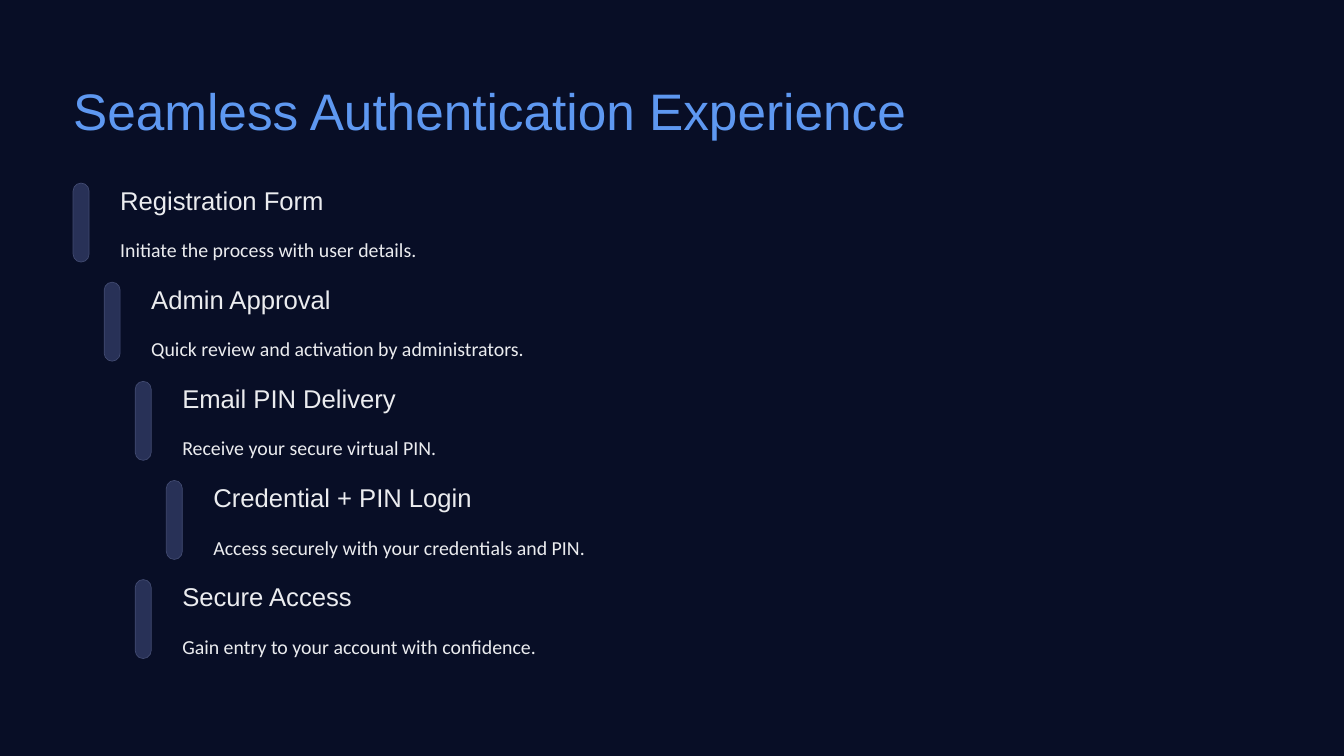
from typing import NamedTuple

from pptx import Presentation
from pptx.dml.color import RGBColor
from pptx.enum.shapes import MSO_SHAPE
from pptx.util import Pt

PX = 9144  # EMU per px, 100 px to the inch
PILL = MSO_SHAPE.ROUNDED_RECTANGLE

COLORS = {
    "back": "080E26",
    "title": "5E98F1",
    "text": "EBECEF",
    "bar": "283157",
    "edge": "414A70",
}

# Layout in px
LEFT, TOP, RIGHT = 87, 218, 1514
INDENT, PITCH = 37, 118
BAR_W, BAR_H = 19, 94
TEXT_DX, NOTE_DY = 56, 54


class Style(NamedTuple):
    font: str
    size: int
    lead: float
    color: str


class Step(NamedTuple):
    head: str
    note: str
    level: int


TITLE = Style("Arial", 44, 55.5, "title")
HEAD = Style("Arial", 22, 27.5, "text")
NOTE = Style("Calibri", 17, 28.5, "text")

STEPS = [
    Step("Registration Form", "Initiate the process with user details.", 0),
    Step("Admin Approval", "Quick review and activation by administrators.", 1),
    Step("Email PIN Delivery", "Receive your secure virtual PIN.", 2),
    Step("Credential + PIN Login", "Access securely with your credentials and PIN.", 3),
    Step("Secure Access", "Gain entry to your account with confidence.", 2),
]


def color(name: str) -> RGBColor:
    return RGBColor.from_string(COLORS[name])


def add_text(slide, text: str, x: int, y: int, w: int, h: int, style: Style) -> None:
    box = slide.shapes.add_textbox(x * PX, y * PX, w * PX, h * PX)
    frame = box.text_frame
    frame.margin_left = frame.margin_right = 0
    frame.margin_top = frame.margin_bottom = 0
    frame.word_wrap = True
    frame.text = text
    para = frame.paragraphs[0]
    para.line_spacing = Pt(style.lead)
    font = para.runs[0].font
    font.name = style.font
    font.size = Pt(style.size)
    font.color.rgb = color(style.color)


def add_bar(slide, x: int, y: int) -> None:
    bar = slide.shapes.add_shape(PILL, x * PX, y * PX, BAR_W * PX, BAR_H * PX)
    bar.adjustments[0] = 0.5
    bar.shadow.inherit = False
    bar.fill.solid()
    bar.fill.fore_color.rgb = color("bar")
    bar.line.color.rgb = color("edge")
    bar.line.width = Pt(0.6)


def add_step(slide, step: Step, row: int) -> None:
    x = LEFT + step.level * INDENT
    y = TOP + row * PITCH
    text_x = x + TEXT_DX
    add_bar(slide, x, y)
    add_text(slide, step.head, text_x, y, 335, 39, HEAD)
    add_text(slide, step.note, text_x, y + NOTE_DY, RIGHT - text_x, 40, NOTE)


def main() -> None:
    deck = Presentation()
    deck.slide_width, deck.slide_height = 1600 * PX, 900 * PX
    slide = deck.slides.add_slide(deck.slide_layouts[6])

    # Background
    fill = slide.background.fill
    fill.solid()
    fill.fore_color.rgb = color("back")

    # Title and staggered steps
    add_text(slide, "Seamless Authentication Experience", LEFT, 91, 1075, 77, TITLE)
    for row, step in enumerate(STEPS):
        add_step(slide, step, row)

    deck.save("out.pptx")


if __name__ == "__main__":
    main()
